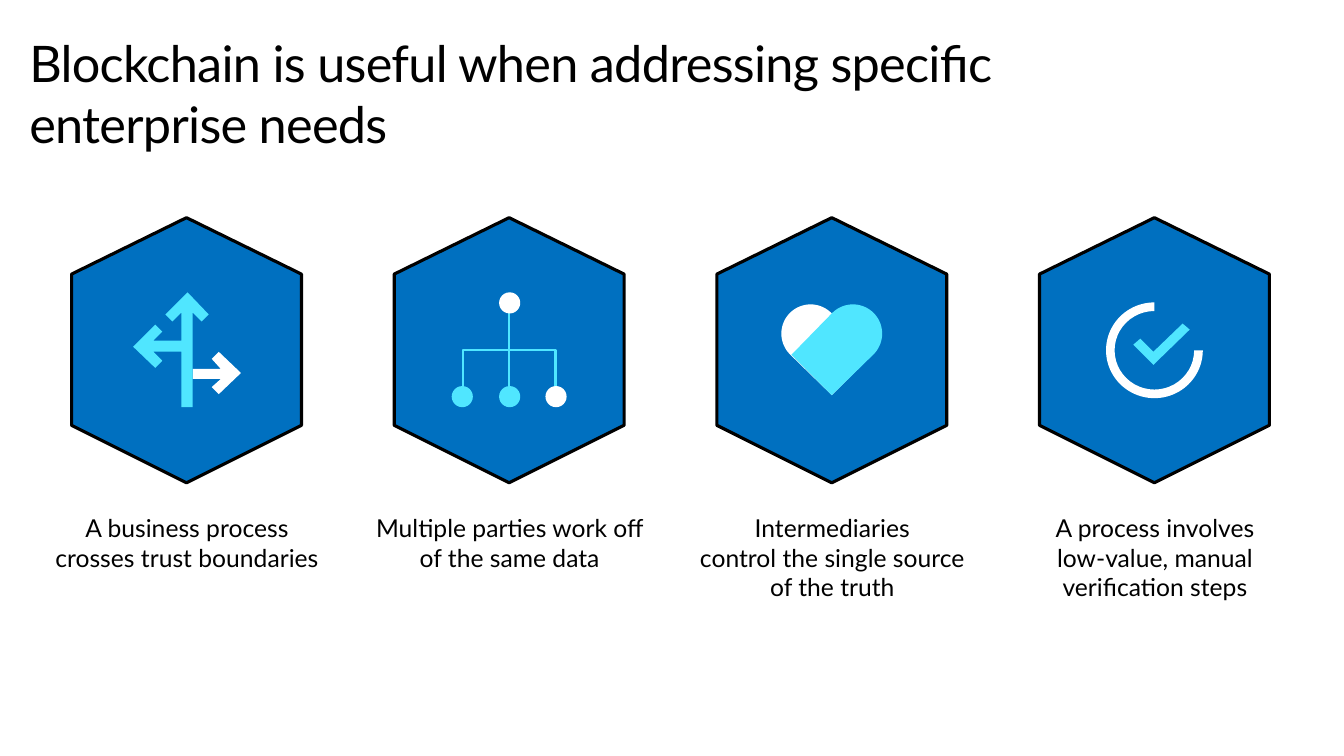
from math import cos, radians, sin

from lxml import etree
from pptx import Presentation
from pptx.dml.color import RGBColor
from pptx.enum.shapes import MSO_CONNECTOR, MSO_SHAPE
from pptx.enum.text import PP_ALIGN
from pptx.oxml.ns import qn
from pptx.util import Inches, Pt

STRAIGHT = MSO_CONNECTOR.STRAIGHT
OVAL = MSO_SHAPE.OVAL
BLOCK_ARC = MSO_SHAPE.BLOCK_ARC
CENTER = PP_ALIGN.CENTER
LEFT = PP_ALIGN.LEFT

COLORS = {k: RGBColor.from_string(v) for k, v in {
    "blue": "0070C0", "cyan": "50E6FF", "white": "FFFFFF", "black": "000000",
}.items()}

prs = Presentation()
prs.slide_width, prs.slide_height = Inches(13.33), Inches(7.5)
s = prs.slides.add_slide(prs.slide_layouts[6])


def add_outline(points, fill=None, line=None, width=0):
    pts = [(Inches(x), Inches(y)) for x, y in points]
    fb = s.shapes.build_freeform(*pts[0], scale=1.0)
    fb.add_line_segments(pts[1:], close=fill is not None)
    sp = fb.convert_to_shape()
    style(sp, fill, line, width)


def style(sp, fill=None, line=None, width=0):
    sp.shadow.inherit = False
    if fill:
        sp.fill.solid()
        sp.fill.fore_color.rgb = COLORS[fill]
    else:
        sp.fill.background()
    if line:
        sp.line.color.rgb = COLORS[line]
        sp.line.width = Pt(width)
    else:
        sp.line.fill.background()


centers = [1.85 + 3.2 * i for i in range(4)]
captions = [
    "A business process crosses trust boundaries",
    "Multiple parties work off of the same data",
    "Intermediaries\vcontrol the single source of the truth",
    "A process involves\vlow-value, manual verification steps",
]
texts = [("Blockchain is useful when addressing specific\venterprise needs",
          0.29, 0.32, 12.75, 1.21, 36, LEFT)]
for cx, caption in zip(centers, captions):
    add_outline([(cx, 2.16), (cx + 1.14, 2.72), (cx + 1.14, 4.22),
                 (cx, 4.79), (cx - 1.14, 4.22), (cx - 1.14, 2.72)],
                "blue", "black", 2.25)
    texts.append((caption, cx - 1.35, 5.09, 2.71, 1, 17.6, CENTER))

for text, x, y, w, h, size, align in texts:
    tf = s.shapes.add_textbox(Inches(x), Inches(y), Inches(w), Inches(h)).text_frame
    tf.word_wrap = True
    tf.margin_left = tf.margin_right = tf.margin_top = tf.margin_bottom = 0
    p = tf.paragraphs[0]
    p.text = text
    p.alignment = align
    p.font.name = "Lato"
    p.font.size = Pt(size)
    p.font.color.rgb = COLORS["black"]
    if align == LEFT:
        for r in p.runs:
            r._r.get_or_add_rPr().set("spc", "-50")

add_outline([(1.91, 3.76), (2.19, 3.76), (2.1, 3.84), (2.17, 3.91), (2.39, 3.7),
             (2.17, 3.49), (2.1, 3.56), (2.19, 3.66), (1.91, 3.66)], "white")
add_outline([(1.91, 4.04), (1.91, 3.1), (2, 3.19), (2.07, 3.12), (1.86, 2.9),
             (1.64, 3.12), (1.71, 3.19), (1.8, 3.1), (1.8, 3.38), (1.52, 3.38),
             (1.61, 3.29), (1.54, 3.22), (1.32, 3.44), (1.54, 3.65), (1.61, 3.58),
             (1.52, 3.49), (1.8, 3.49), (1.8, 4.04)], "cyan")

add_outline([(4.59, 3.93), (4.59, 3.47), (5.51, 3.47), (5.51, 3.93)],
            line="cyan", width=1.75)
trunk = s.shapes.add_connector(STRAIGHT, Inches(5.05), Inches(3.05),
                               Inches(5.05), Inches(3.95))
trunk.line.color.rgb = COLORS["cyan"]
trunk.line.width = Pt(1.75)
etree.SubElement(trunk._element.spPr, qn("a:effectLst"))
for x, y, color in [(4.95, 2.9, "white"), (4.48, 3.83, "cyan"),
                    (4.95, 3.83, "cyan"), (5.41, 3.83, "white")]:
    node = s.shapes.add_shape(OVAL, Inches(x), Inches(y), Inches(0.21), Inches(0.21))
    style(node, color)

for cx, start, tail, color in [
        (8.04, 135, [(8.65, 3.52), (8.25, 3.92)], "white"),
        (8.46, 225, [(8.25, 3.92), (7.85, 3.52)], "cyan")]:
    angles = [radians(start + a) for a in range(0, 181, 5)]
    lobe = [(cx + 0.29 * cos(a), 3.31 + 0.29 * sin(a)) for a in angles]
    add_outline(lobe + tail, color)

ring = s.shapes.add_shape(BLOCK_ARC, Inches(10.97), Inches(3), Inches(0.96), Inches(0.95))
ring.adjustments[0] = 0
ring.adjustments[1] = 162
ring.adjustments[2] = 0.09
style(ring, "white")
add_outline([(11.24, 3.42), (11.31, 3.36), (11.44, 3.49), (11.73, 3.21),
             (11.8, 3.27), (11.44, 3.62)], "cyan")

prs.save("out.pptx")
